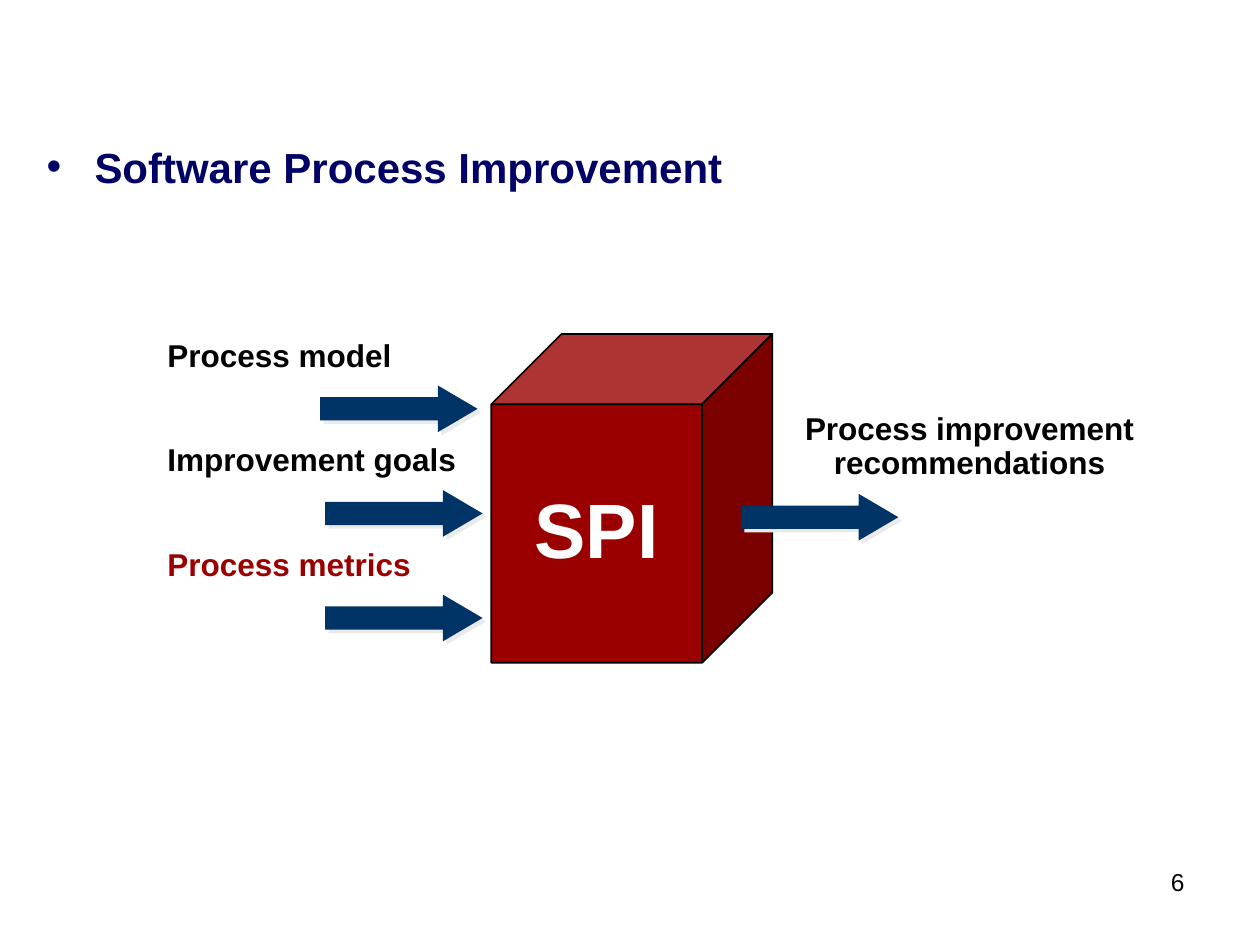
from lxml import etree
from pptx import Presentation
from pptx.dml.color import RGBColor
from pptx.enum.shapes import MSO_SHAPE
from pptx.enum.text import MSO_ANCHOR, PP_ALIGN
from pptx.oxml.ns import qn
from pptx.util import Inches, Pt

CUBE, ARROW = MSO_SHAPE.CUBE, MSO_SHAPE.RIGHT_ARROW
LEFT, CENTER, RIGHT = PP_ALIGN.LEFT, PP_ALIGN.CENTER, PP_ALIGN.RIGHT
MIDDLE, TOP = MSO_ANCHOR.MIDDLE, MSO_ANCHOR.TOP
NAVY = RGBColor(0x00, 0x00, 0x66)
BLUE = RGBColor(0x00, 0x33, 0x66)
RED = RGBColor(0x9A, 0x00, 0x00)
BLACK = RGBColor(0x00, 0x00, 0x00)
WHITE = RGBColor(0xFF, 0xFF, 0xFF)
SHADOW = RGBColor(0xEA, 0xEA, 0xEA)
FONT = "Arial"


def write(frame, text, size=18, color=BLACK, bold=True, align=LEFT,
          spacing=0.9, wrap=False, anchor=TOP):
    frame.word_wrap = wrap
    frame.vertical_anchor = anchor
    for index, line in enumerate(text.split("\n")):
        para = frame.paragraphs[0] if index == 0 else frame.add_paragraph()
        para.alignment = align
        para.line_spacing = spacing
        span = para.add_run()
        span.text = line
        span.font.name = FONT
        span.font.size = Pt(size)
        span.font.bold = bold
        span.font.color.rgb = color


def add_label(page, left, top, width, height, text, **style):
    box = page.shapes.add_textbox(
        Inches(left), Inches(top), Inches(width), Inches(height))
    write(box.text_frame, text, **style)


def add_arrow(page, left, top):
    arrow = page.shapes.add_shape(
        ARROW, Inches(left), Inches(top), Inches(1.25), Inches(0.37))
    arrow.adjustments[0] = 0.5
    arrow.adjustments[1] = 0.85
    arrow.fill.solid()
    arrow.fill.fore_color.rgb = BLUE
    arrow.line.fill.background()
    effects = etree.SubElement(arrow._element.spPr, qn("a:effectLst"))
    shadow = etree.SubElement(
        effects, qn("a:outerShdw"), dist=str(Pt(2.8)), dir="2700000",
        algn="ctr", rotWithShape="0")
    etree.SubElement(shadow, qn("a:srgbClr"), val=str(SHADOW))


def add_heading(page, left, top, width, height, text):
    page.shapes.title._element.getparent().remove(page.shapes.title._element)
    body = page.placeholders[1]
    body.left, body.top = Inches(left), Inches(top)
    body.width, body.height = Inches(width), Inches(height)
    write(body.text_frame, text, size=24, color=NAVY, spacing=1.0, wrap=True)
    para = body.text_frame.paragraphs[0]
    para.space_before = Pt(6)
    properties = para._p.get_or_add_pPr()
    properties.set("marL", str(Inches(0.38)))
    properties.set("indent", str(-Inches(0.38)))
    etree.SubElement(properties, qn("a:buFont"), typeface=FONT)
    etree.SubElement(properties, qn("a:buChar"), char="•")


def add_cube(page, left, top, width, height, text):
    cube = page.shapes.add_shape(
        CUBE, Inches(left), Inches(top), Inches(width), Inches(height))
    cube.adjustments[0] = 0.25
    cube.shadow.inherit = False
    cube.fill.solid()
    cube.fill.fore_color.rgb = RED
    cube.line.color.rgb = BLACK
    cube.line.width = Pt(1)
    write(cube.text_frame, text, size=44, color=WHITE, align=CENTER,
          anchor=MIDDLE)


def add_inputs(page, left, top, step):
    inputs = [
        ("Process model", 1.98, 1.31, BLACK),
        ("Improvement goals", 2.49, 1.35, BLACK),
        ("Process metrics", 2.13, 1.35, RED),
    ]
    for row, (text, width, arrow_offset, color) in enumerate(inputs):
        row_top = top + row * step
        add_arrow(page, left + arrow_offset, row_top + 0.41)
        add_label(page, left, row_top, width, 0.37, text, color=color)


def add_output(page, left, top, text):
    add_arrow(page, left, top + 0.69)
    add_label(page, left + 0.41, top, 2.81, 0.64, text, align=CENTER)


def main():
    deck = Presentation()
    deck.slide_width, deck.slide_height = Inches(10), Inches(7.5)
    page = deck.slides.add_slide(deck.slide_layouts[1])
    add_heading(page, 0.27, 1.07, 9, 0.95, "Software Process Improvement")
    add_cube(page, 3.9, 2.65, 2.23, 2.61, "SPI")
    add_inputs(page, 1.23, 2.65, 0.83)
    add_output(page, 5.88, 3.23, "Process improvement\nrecommendations")
    add_label(page, 7.44, 6.83, 2.06, 0.52, "6", size=14, bold=False,
              align=RIGHT, spacing=1.0, wrap=True)
    deck.save("out.pptx")


if __name__ == "__main__":
    main()
